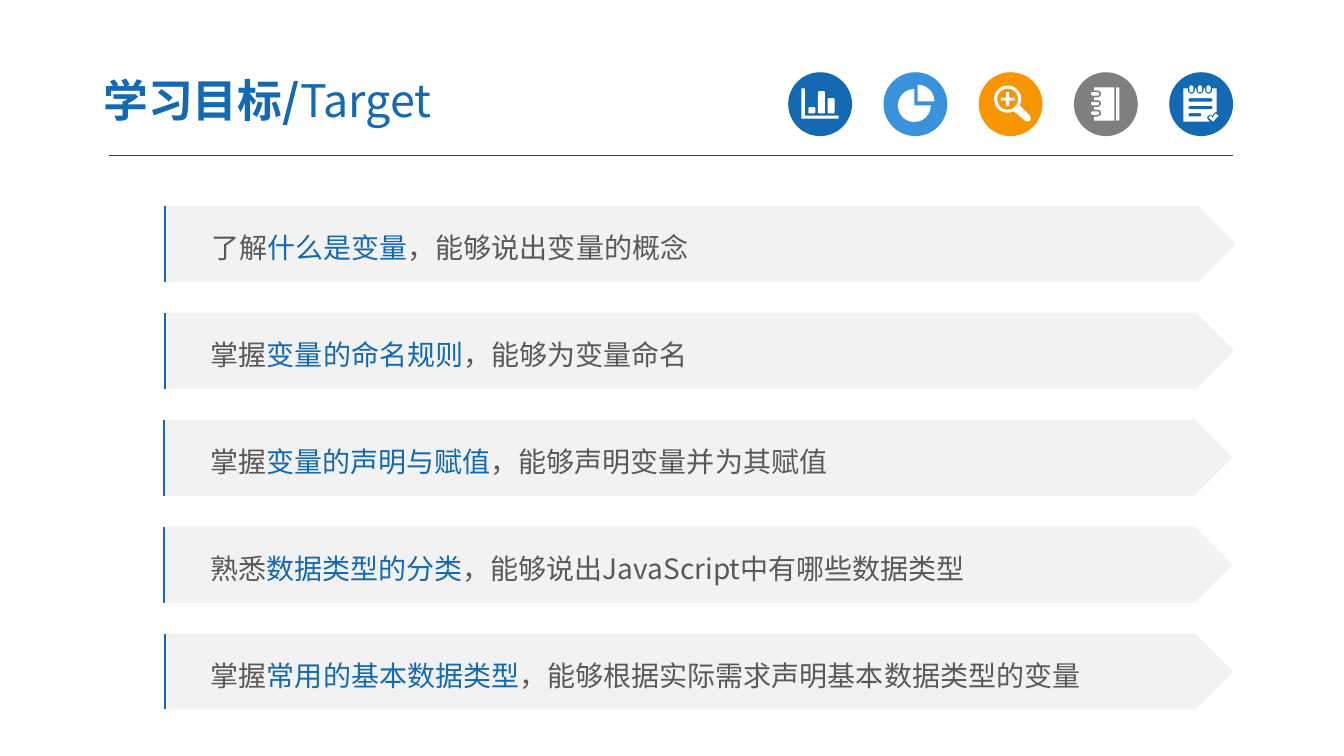
import math

from pptx import Presentation
from pptx import util as u
from pptx.dml.color import RGBColor
from pptx.enum import shapes, text
from pptx.oxml import ns, xmlchemy

Pt = u.Pt
FONT = "Noto Sans CJK SC"
BLUE, SKY, ORANGE, GREY = "1369B2", "3992DB", "F79600", "7F7F7F"
WHITE, BAND, INK, RULE = "FFFFFF", "F2F2F2", "595959", "404040"

TITLE = [("学习目标/", True), ("Target", False)]
GOALS = [
    (117.4, 765.4, ("了解", "什么是变量", "，能够说出变量的概念")),
    (117, 764.6, ("掌握", "变量的命名规则", "，能够为变量命名")),
    (116.5, 763.9, ("掌握", "变量的声明与赋值", "，能够声明变量并为其赋值")),
    (116.5, 763.9, ("熟悉", "数据类型的分类", "，能够说出JavaScript中有哪些数据类型")),
    (117, 763.9, ("掌握", "常用的基本数据类型", "，能够根据实际需求声明基本数据类型的变量")),
]
BADGE_LEFT, BADGE_TOP, BADGE_SIZE, BADGE_STEP = 563, 51.6, 45.6, 68.04
GOAL_TOP, GOAL_HEIGHT, GOAL_STEP = 147, 54.2, 76.4


def arc(x, y, radius, start, end, steps):
    angles = [math.radians(start + (end - start) * i / steps) for i in range(steps + 1)]
    return [(x + radius * math.cos(a), y + radius * math.sin(a)) for a in angles]


def rounded(x, y, width, height, radius):
    right, bottom = x + width - radius, y + height - radius
    corners = [(x + radius, y + radius, 180), (right, y + radius, 270),
               (right, bottom, 0), (x + radius, bottom, 90)]
    return [p for cx, cy, a in corners for p in arc(cx, cy, radius, a, a + 90, 3)]


def chart_glyph():
    axes = [(9.4, 11.5), (12, 11.5), (12, 31), (36, 31), (36, 33.1), (9.4, 33.1)]
    bars = [rounded(14.4 + 6.9 * i, 29.5 - height, 5, height, 1)
            for i, height in enumerate([4.5, 16, 11])]
    return [axes] + bars


def pie_glyph():
    return [[(22.1, 23.8)] + arc(22.1, 23.8, 11.8, 0, 270, 18),
            [(24.5, 20.9)] + arc(24.5, 20.9, 12, 270, 360, 6)]


def magnifier_glyph():
    x, y, arm, half = 20.7, 19.2, 5, 1.1
    handle = [(36.6, 31), (37.3, 33.4), (36, 35.2), (33.4, 34.8)]
    plus = [(-half, -arm), (half, -arm), (half, -half), (arm, -half),
            (arm, half), (half, half), (half, arm), (-half, arm),
            (-half, half), (-arm, half), (-arm, -half), (-half, -half)]
    return [arc(x, y, 9.7, 63, 387, 22) + handle,
            arc(x, y, 7.5, 0, 345, 23),
            [(x + dx, y + dy) for dx, dy in plus]]


def notebook_glyph():
    rings = (15.5, 22.4, 29.2)
    cover = [(14.4, 10.8)]
    for y in rings:
        cover += [(14.4, y - 2.5)] + arc(16.9, y, 2.5, -90, 90, 6) + [(14.4, y + 2.5)]
    cover += [(14.4, 34.6), (28.8, 34.6), (28.8, 10.8)]
    return [cover, rounded(30.2, 10.8, 2.2, 23.8, 0.8)] + [
        rounded(12.2, y - 1.25, 5.8, 2.5, 1.25) for y in rings]


def checklist_glyph():
    rings = (15.8, 22, 28.1)
    page = [(10.1, 11.5)]
    for x in rings:
        page += [(x - 2.5, 11.5)] + arc(x, 12.9, 2.5, 180, 0, 6) + [(x + 2.5, 11.5)]
    page += [(33.8, 11.5), (33.8, 28.6), (32.4, 28.8), (30.8, 31),
             (28.8, 30.2), (26.8, 32.4), (28.8, 35.3), (10.1, 35.3)]
    tick = [(28.1, 32.4), (29.4, 31), (30.8, 32.4), (33.1, 29.5), (35.3, 31), (31.3, 35.3)]
    entries = [rounded(13.7, y, width, 2.4, 1.2)
               for y, width in ((18.6, 17.3), (24, 17.3), (29.2, 9.3))]
    return [page, tick] + entries + [rounded(x - 1.45, 9.4, 2.9, 5, 1.45) for x in rings]


BADGES = [(chart_glyph, BLUE), (pie_glyph, SKY), (magnifier_glyph, ORANGE),
          (notebook_glyph, GREY), (checklist_glyph, BLUE)]

deck = Presentation()
deck.slide_width, deck.slide_height = Pt(960), Pt(540)
slide = deck.slides.add_slide(deck.slide_layouts[6])


def colour(hex_string):
    return RGBColor.from_string(hex_string)


def paint(shape, fill):
    shape.shadow.inherit = False
    shape.fill.solid()
    shape.fill.fore_color.rgb = colour(fill)
    shape.line.fill.background()


def block(kind, left, top, width, height, fill):
    shape = slide.shapes.add_shape(kind, Pt(left), Pt(top), Pt(width), Pt(height))
    paint(shape, fill)
    return shape


def set_font(paragraph, size):
    paragraph.font.size = Pt(size)
    paragraph.font.name = FONT
    east_asian = xmlchemy.OxmlElement("a:ea")
    east_asian.set("typeface", FONT)
    paragraph._p.find(".//" + ns.qn("a:latin")).addnext(east_asian)


def draw_rule():
    rule = slide.shapes.add_connector(
        shapes.MSO_CONNECTOR.STRAIGHT, Pt(78), Pt(111.3), Pt(880.6), Pt(111.3))
    rule.line.color.rgb = colour(RULE)
    rule.line.width = Pt(0.75)
    rule._element.spPr.append(xmlchemy.OxmlElement("a:effectLst"))


def draw_badge(index, glyph, fill):
    left = BADGE_LEFT + BADGE_STEP * index
    block(shapes.MSO_SHAPE.OVAL, left, BADGE_TOP, BADGE_SIZE, BADGE_SIZE, fill)
    contours = [[(Pt(left + x), Pt(BADGE_TOP + y)) for x, y in contour]
                for contour in glyph()]
    outline = slide.shapes.build_freeform(*contours[0][0])
    outline.add_line_segments(contours[0][1:])
    for contour in contours[1:]:
        outline.move_to(*contour[0])
        outline.add_line_segments(contour[1:])
    paint(outline.convert_to_shape(), WHITE)


def draw_title():
    box = slide.shapes.add_textbox(Pt(64.4), Pt(45.4), Pt(376), Pt(52))
    frame = box.text_frame
    frame.word_wrap = True
    frame.vertical_anchor = text.MSO_ANCHOR.MIDDLE
    frame.margin_left = frame.margin_right = Pt(9.4)
    frame.margin_top = frame.margin_bottom = Pt(5)
    heading = frame.paragraphs[0]
    heading.font.color.rgb = colour(BLUE)
    set_font(heading, 32)
    for words, bold in TITLE:
        run = heading.add_run()
        run.text = words
        run.font.bold = bold


def draw_goal(index, left, width, goal):
    top = GOAL_TOP + GOAL_STEP * index
    band = block(shapes.MSO_SHAPE.PENTAGON, left, top, width, GOAL_HEIGHT, BAND)
    frame = band.text_frame
    frame.word_wrap = True
    frame.vertical_anchor = text.MSO_ANCHOR.MIDDLE
    frame.margin_left = Pt(33.6)
    sentence = frame.paragraphs[0]
    sentence.alignment = text.PP_ALIGN.LEFT
    sentence.line_spacing = 1.2
    set_font(sentence, 20)
    for words, hue in zip(goal, (INK, BLUE, INK)):
        run = sentence.add_run()
        run.text = words
        run.font.color.rgb = colour(hue)
    edge_x = left + 0.7
    edge = slide.shapes.build_freeform(Pt(edge_x), Pt(top + GOAL_HEIGHT))
    edge.add_line_segments([(Pt(edge_x), Pt(top))], close=False)
    edge.move_to(Pt(edge_x + 11.5), Pt(top))
    accent = edge.convert_to_shape()
    accent.shadow.inherit = False
    accent.fill.background()
    accent.line.color.rgb = colour(BLUE)
    accent.line.width = Pt(1.5)


draw_rule()
for position, (glyph, fill) in enumerate(BADGES):
    draw_badge(position, glyph, fill)
draw_title()
for position, (left, width, goal) in enumerate(GOALS):
    draw_goal(position, left, width, goal)

deck.save("out.pptx")
